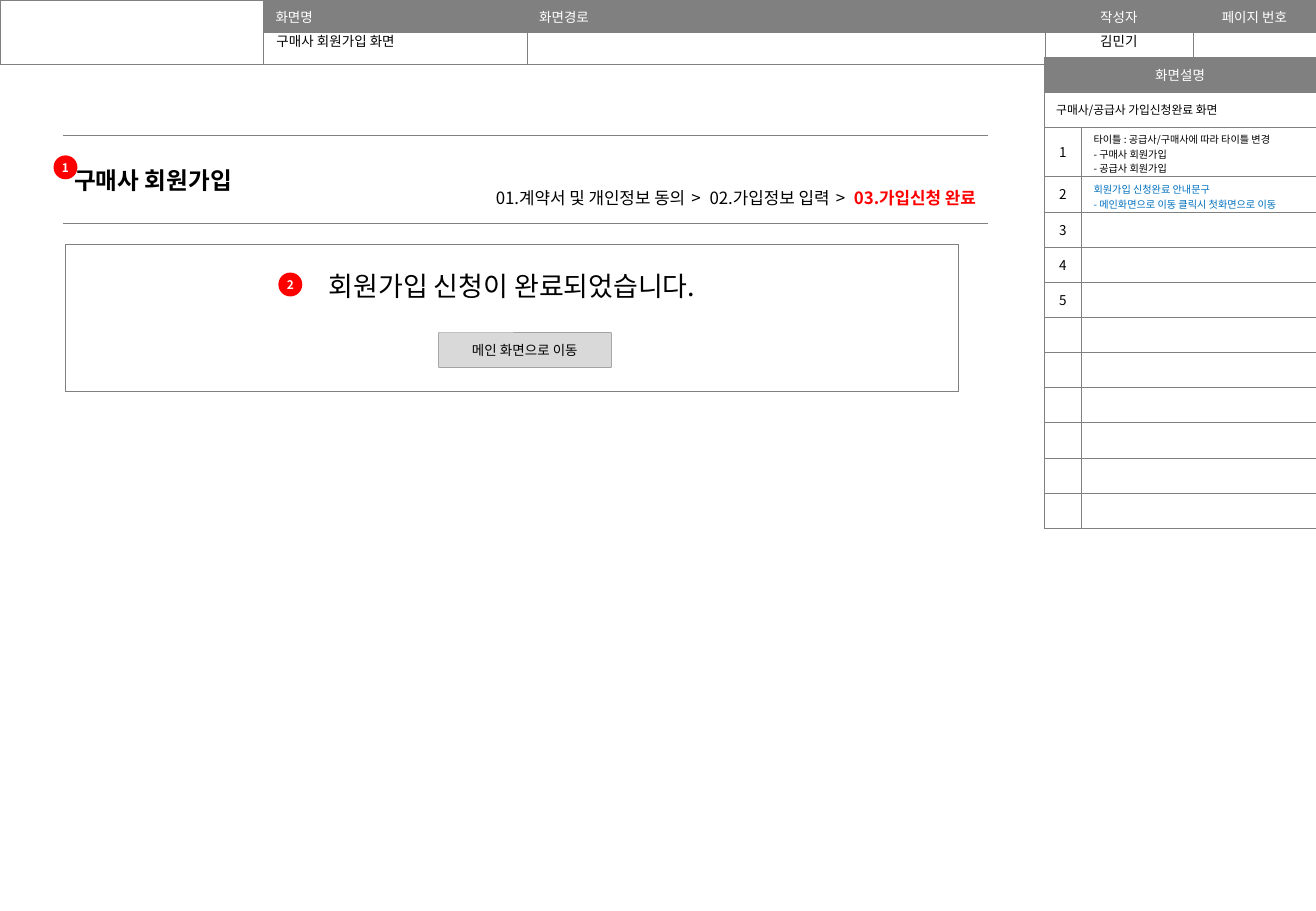
from dataclasses import dataclass

from lxml import etree
from pptx import Presentation
from pptx import util as u
from pptx.dml.color import RGBColor
from pptx.enum import shapes, text
from pptx.oxml.ns import qn

FONT = "Noto Sans CJK KR"
GRAY, BLACK, WHITE = "808080", "000000", "FFFFFF"
RED, BLUE, SILVER = "FF0000", "0070C0", "D9D9D9"
LEFT, CENTER, RIGHT = text.PP_ALIGN.LEFT, text.PP_ALIGN.CENTER, text.PP_ALIGN.RIGHT
CELL_INSETS = (0.25, 0.13, 0.25, 0.13)


@dataclass(frozen=True)
class Span:
    text: str
    color: str = BLACK
    bold: bool = False
    spacing: int = 0


@dataclass(frozen=True)
class Badge:
    label: str
    left: float
    top: float


@dataclass(frozen=True)
class Note:
    lines: tuple[str, ...] = ()
    color: str = BLACK
    label: str = ""
    height: float | None = None


def rgb(value: str) -> RGBColor:
    return RGBColor.from_string(value)


def write(frame, content: str | list[Span], *, size: float = 8, color: str = BLACK,
          bold: bool = False, align=LEFT) -> None:
    lines = content.split("\n") if isinstance(content, str) else [content]
    for index, line in enumerate(lines):
        para = frame.add_paragraph() if index else frame.paragraphs[0]
        para.alignment = align
        for span in [Span(line, color, bold)] if isinstance(line, str) else line:
            if not span.text:
                para._p.get_or_add_endParaRPr().set("sz", str(int(size * 100)))
                continue
            run = para.add_run()
            run.text = span.text
            run.font.size = u.Pt(size)
            run.font.bold = span.bold
            run.font.color.rgb = rgb(span.color)
            run.font.name = FONT
            properties = run._r.get_or_add_rPr()
            etree.SubElement(properties, qn("a:ea")).set("typeface", FONT)
            if span.spacing:
                properties.set("spc", str(span.spacing))


def set_frame(frame, insets: tuple[float, ...] = CELL_INSETS) -> None:
    frame.word_wrap = True
    frame.auto_size = text.MSO_AUTO_SIZE.NONE
    frame.vertical_anchor = text.MSO_ANCHOR.MIDDLE
    frame.margin_left, frame.margin_top, frame.margin_right, frame.margin_bottom = map(u.Cm, insets)


def add_box(page, place: tuple[float, ...], content: str | list[Span], **style) -> None:
    frame = page.shapes.add_textbox(*map(u.Cm, place)).text_frame
    set_frame(frame)
    write(frame, content, **style)


def add_rounded(page, place: tuple[float, ...], label: str, *, fill: str, corner: float,
                line: str | None = None, insets: tuple[float, ...] = (0, 0, 0, 0), **style) -> None:
    shape = page.shapes.add_shape(shapes.MSO_SHAPE.ROUNDED_RECTANGLE, *map(u.Cm, place))
    shape.adjustments[0] = corner
    shape.shadow.inherit = False
    shape.fill.solid()
    shape.fill.fore_color.rgb = rgb(fill)
    if line:
        shape.line.color.rgb = rgb(line)
        shape.line.width = u.Pt(0.25)
    else:
        shape.line.fill.background()
    set_frame(shape.text_frame, insets)
    write(shape.text_frame, label, align=CENTER, **style)


def add_border(cell, side: str, color: str, width: float) -> None:
    line = etree.SubElement(cell._tc.get_or_add_tcPr(), qn(f"a:ln{side}"), w=str(u.Pt(width)))
    fill = etree.SubElement(line, qn("a:solidFill"))
    etree.SubElement(fill, qn("a:srgbClr"), val=color)


def add_grid(page, left: float, top: float, columns: list[float], rows: list[float],
             side_border: tuple[str, float] = (GRAY, 0.25)):
    place = (left, top, sum(columns), sum(rows))
    table = page.shapes.add_table(len(rows), len(columns), *map(u.Cm, place)).table
    table.first_row = table.horz_banding = False
    for column, width in zip(table.columns, columns):
        column.width = u.Cm(width)
    for row, height in zip(table.rows, rows):
        row.height = u.Cm(height)
    for cell in table.iter_cells():
        for side in "LRTB":
            add_border(cell, side, *(side_border if side in "LR" else (GRAY, 0.25)))
        cell.fill.background()
    return table


def fill_cell(cell, content: str = "", *, fill: str | None = None,
              insets: tuple[float, ...] = CELL_INSETS, **style) -> None:
    if fill:
        cell.fill.solid()
        cell.fill.fore_color.rgb = rgb(fill)
    cell.vertical_anchor = text.MSO_ANCHOR.MIDDLE
    cell.margin_left, cell.margin_top, cell.margin_right, cell.margin_bottom = map(u.Cm, insets)
    write(cell.text_frame, content, **style)


def add_header(page) -> None:
    table = add_grid(page, 0, 0, [5.51, 5.51, 10.82, 3.1, 2.57], [0.67, 0.67])
    headings = ["", "화면명", "화면경로", "작성자", "페이지 번호"]
    for column, heading in enumerate(headings):
        fill_cell(table.cell(0, column), heading, fill=GRAY if heading else None,
                  color=WHITE, align=CENTER if column > 2 else LEFT)
        fill_cell(table.cell(1, column))
    table.cell(0, 0).merge(table.cell(1, 0))
    add_box(page, (21.83, 0.56, 3.12, 0.61), "김민기", align=CENTER)


def add_panel(page) -> None:
    notes = [
        Note(("타이틀 : 공급사/구매사에 따라 타이틀 변경", "- 구매사 회원가입", "- 공급사 회원가입"),
             label="1", height=1),
        Note(("회원가입 신청완료 안내문구", "- 메인화면으로 이동 클릭시 첫화면으로 이동"),
             BLUE, "2", 0.76),
        *(Note(label=str(number)) for number in range(3, 6)),
        *[Note()] * 6,
    ]
    top, bottom = 1.19, 11.03
    fixed = [note.height for note in notes if note.height]
    plain = (bottom - top - sum(fixed)) / (len(notes) + 2 - len(fixed))
    table = add_grid(page, 21.83, top, [0.78, 4.9],
                     [plain, plain, *(note.height or plain for note in notes)])
    for row in range(2):
        table.cell(row, 0).merge(table.cell(row, 1))
    fill_cell(table.cell(0, 0), "화면설명", fill=GRAY, color=WHITE, align=CENTER)
    fill_cell(table.cell(1, 0), "구매사/공급사 가입신청완료 화면", fill=WHITE, size=7)
    for row, note in enumerate(notes, 2):
        fill_cell(table.cell(row, 0), note.label, fill=WHITE, align=CENTER)
        fill_cell(table.cell(row, 1), "\n".join(note.lines), fill=WHITE, size=6,
                  color=note.color, insets=(0.25, 0.1, 0.25, 0))


def add_signup(page) -> None:
    heading = add_grid(page, 1.3, 2.83, [19.36], [1.84], side_border=(WHITE, 1))
    fill_cell(heading.cell(0, 0), "구매사 회원가입", size=14, bold=True)
    arrow = Span(" > ", spacing=150)
    steps = [Span("01.계약서 및 개인정보 동의"), arrow, Span("02.가입정보 입력"), arrow,
             Span("03.가입신청 완료", RED, True)]
    add_box(page, (8.79, 3.76, 11.86, 0.76), steps, size=10, align=RIGHT)
    message = add_grid(page, 1.37, 5.11, [18.67], [3.07])
    fill_cell(message.cell(0, 0), "회원가입 신청이 완료되었습니다.", fill=WHITE, size=16,
              align=CENTER, insets=(0.1, 0.1, 0.1, 1.48))
    add_rounded(page, (9.17, 6.95, 3.61, 0.74), "메인 화면으로 이동", fill=SILVER,
                corner=0.02, line=GRAY, insets=(0.25, 0.25, 0.25, 0.25))
    for badge in (Badge("2", 5.82, 5.7), Badge("1", 1.12, 3.25)):
        add_rounded(page, (badge.left, badge.top, 0.5, 0.5), badge.label, fill=RED,
                    corner=0.5, size=7, color=WHITE, bold=True)


def main() -> None:
    deck = Presentation()
    deck.slide_width, deck.slide_height = u.Cm(27.51), u.Cm(19.05)
    page = deck.slides.add_slide(deck.slide_layouts[5])
    title = page.shapes.title
    title.left, title.top, title.width, title.height = map(u.Cm, (5.53, 0.56, 5.46, 0.61))
    set_frame(title.text_frame)
    write(title.text_frame, "구매사 회원가입 화면")
    add_header(page)
    add_panel(page)
    add_signup(page)
    deck.save("out.pptx")


if __name__ == "__main__":
    main()
